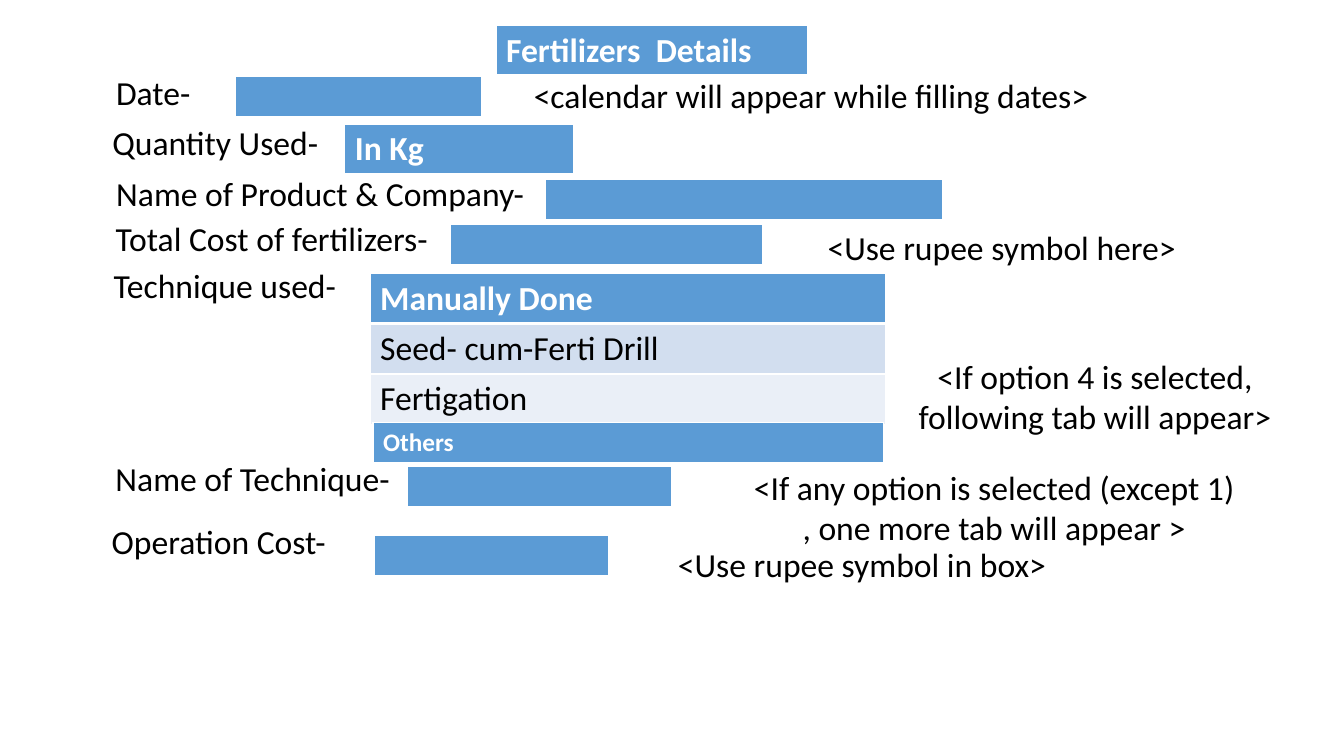
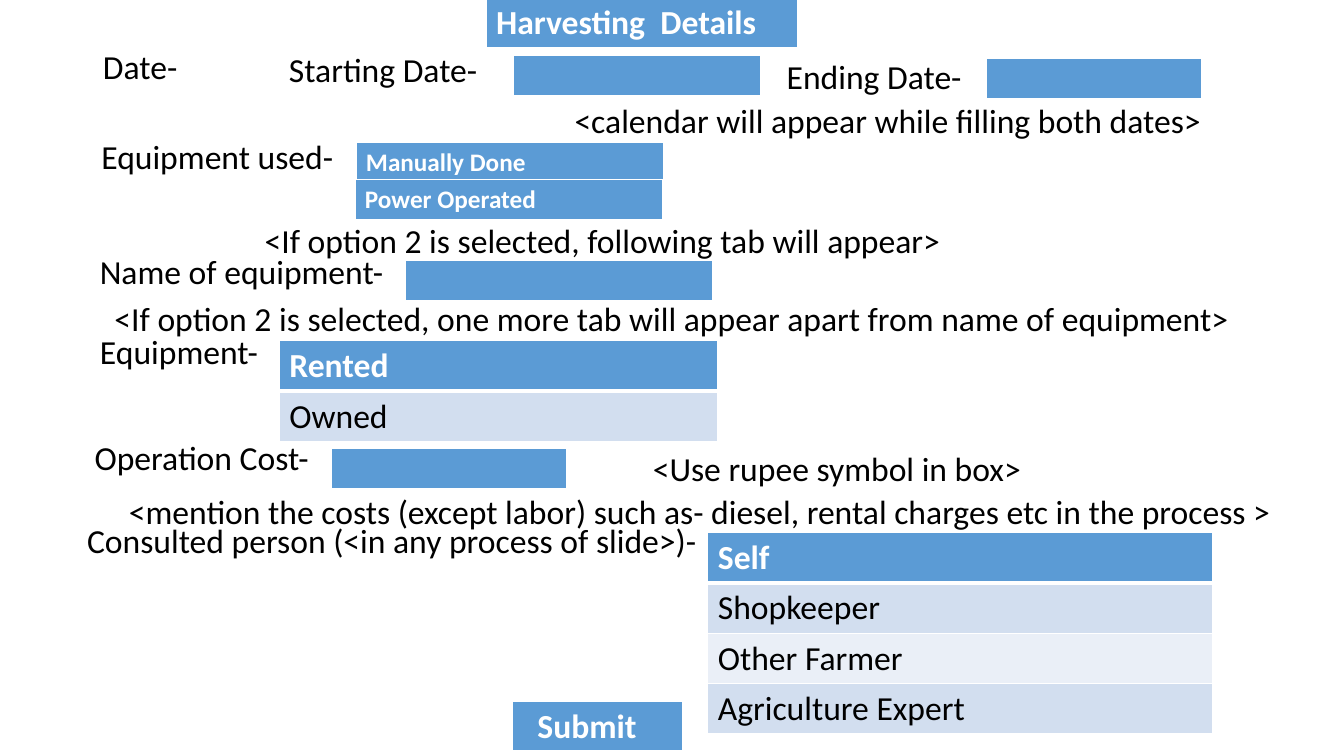
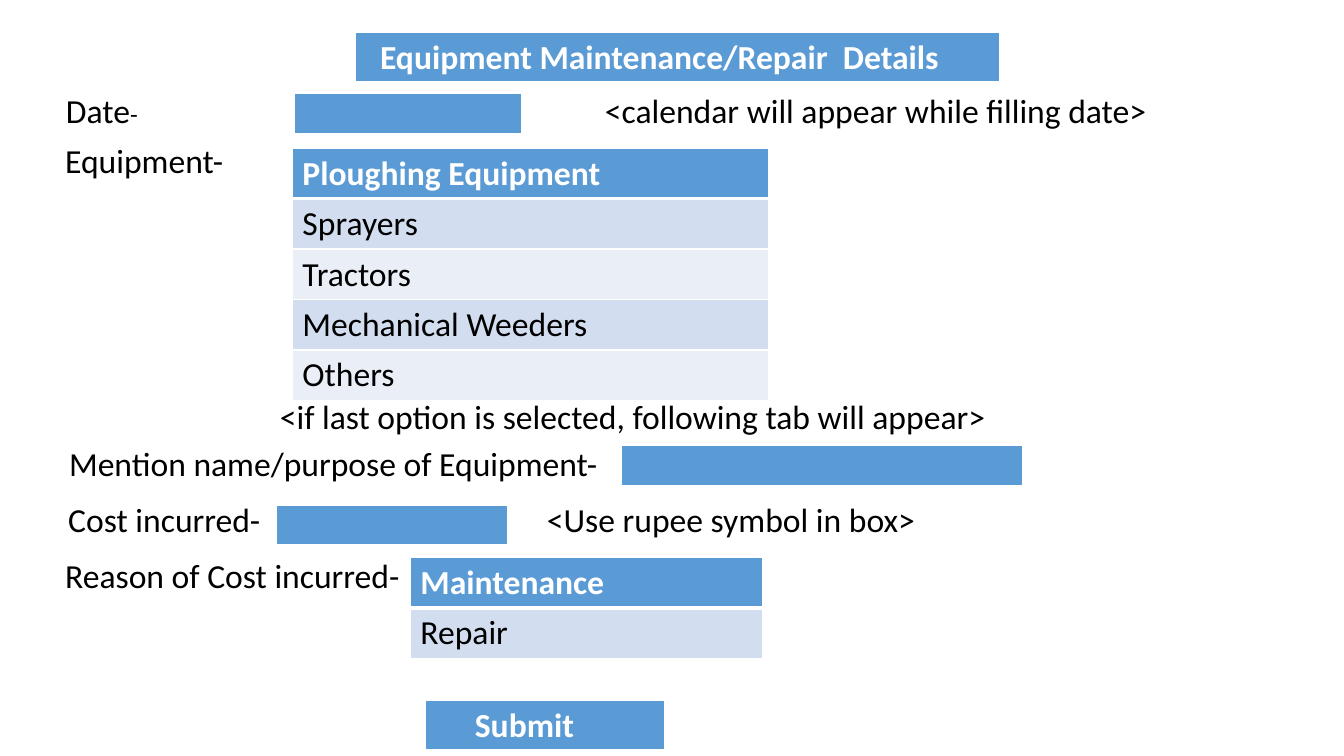
"""Build three farm-record form slides: fertilizers, harvesting and equipment upkeep."""
from dataclasses import dataclass

from lxml import etree
from pptx import Presentation
from pptx import util as u
from pptx.dml.color import RGBColor
from pptx.enum import text
from pptx.oxml import ns


@dataclass(frozen=True)
class Theme:
    font: str = "Calibri"
    normal: int = 24
    small: int = 18
    header: str = "5B9BD5"
    bands: tuple[str, str] = ("D2DEEF", "EAEFF7")
    light: str = "FFFFFF"
    dark: str = "000000"
    thin: int = 1
    thick: int = 3
    row: float = 0.5
    small_row: float = 0.41
    inset: float = 0.1
    wide_inset: float = 0.25


THEME = Theme()


@dataclass(frozen=True)
class Label:
    left: float
    top: float
    width: float
    lines: tuple[str, ...]
    small_tail: str = ""


@dataclass(frozen=True)
class Field:
    left: float
    top: float
    width: float
    options: tuple[str, ...] = ("",)
    size: int = THEME.normal
    inset: float = THEME.inset


@dataclass(frozen=True)
class Form:
    title: Field
    labels: tuple[Label, ...]
    fields: tuple[Field, ...]


FORMS = (
    Form(
        title=Field(4.92, 0.25, 3.09, ("Fertilizers  Details",)),
        labels=(
            Label(0.02, 0.66, 3, ("Date-",)),
            Label(4.28, 0.69, 7.53, ("<calendar will appear while filling dates>",)),
            Label(0.43, 1.16, 3.41, ("Quantity Used-",)),
            Label(0.79, 1.67, 4.77, ("Name of Product & Company-",)),
            Label(0.75, 2.11, 3.89, ("Total Cost of fertilizers-",)),
            Label(7.16, 2.2, 5.55, ("<Use rupee symbol here>",)),
            Label(0, 2.58, 4.46, ("Technique used-",)),
            Label(8.39, 3.48, 4.94,
                  ("<If option 4 is selected,", "following tab will appear>")),
            Label(0.43, 4.49, 4.15, ("Name of Technique-",)),
            Label(7.28, 4.58, 5.16,
                  ("<If any option is selected (except 1)", ", one more tab will appear >")),
            Label(0, 5.12, 4.34, ("Operation Cost-",)),
            Label(5.65, 5.35, 5.8, ("<Use rupee symbol in box>",)),
        ),
        fields=(
            Field(2.33, 0.76, 2.45),
            Field(3.42, 1.23, 2.27, ("In Kg",)),
            Field(5.41, 1.78, 3.94),
            Field(4.47, 2.23, 3.09),
            Field(3.67, 2.71, 5.11, ("Manually Done", "Seed- cum-Ferti Drill", "Fertigation")),
            Field(4.04, 4.63, 2.62),
            Field(3.71, 5.31, 2.33),
            Field(3.7, 4.19, 5.06, ("Others",), size=THEME.small),
        ),
    ),
    Form(
        title=Field(4.82, -0.02, 3.09, ("Harvesting  Details",)),
        labels=(
            Label(7.17, 0.51, 3, ("Ending Date-",)),
            Label(0.82, 4.82, 12.24,
                  ("<mention the costs (except labor) such as- diesel, "
                   "rental charges etc in the process >",)),
            Label(0, 0.41, 2.78, ("Date-",)),
            Label(2.3, 0.44, 3, ("Starting Date-",)),
            Label(5.04, 0.94, 7.53, ("<calendar will appear while filling both dates>",)),
            Label(0, 1.3, 4.31, ("Equipment used-",)),
            Label(1.93, 2.13, 8.09, ("<If option 2 is selected, following tab will appear>",)),
            Label(0.32, 2.44, 4.15, ("Name of equipment-",)),
            Label(0.02, 2.91, 13.28,
                  ("<If option 2 is selected, one more tab will appear "
                   "apart from name of equipment>",)),
            Label(0, 3.23, 3.55, ("Equipment-",)),
            Label(0, 4.29, 4, ("Operation Cost-",)),
            Label(5.84, 4.39, 4.92, ("<Use rupee symbol in box>",)),
            Label(0.43, 5.11, 6.91, ("Consulted person (<in any process of slide>)-",)),
        ),
        fields=(
            Field(5.09, 0.55, 2.45),
            Field(9.78, 0.58, 2.14),
            Field(4.02, 2.58, 3.05),
            Field(3.29, 4.45, 2.33),
            Field(3.53, 1.41, 3.05, ("Manually Done",), size=THEME.small),
            Field(3.52, 1.78, 3.05, ("Power Operated",), size=THEME.small),
            Field(2.77, 3.38, 4.35, ("Rented", "Owned")),
            Field(7.02, 5.28, 5.01, ("Self", "Shopkeeper", "Other Farmer", "Agriculture Expert")),
            Field(5.08, 6.96, 1.69, ("Submit",), inset=THEME.wide_inset),
        ),
    ),
    Form(
        title=Field(3.52, 0.32, 6.39, ("Equipment Maintenance/Repair  Details",),
                    inset=THEME.wide_inset),
        labels=(
            Label(0, 0.84, 2.02, ("Date",), small_tail="-"),
            Label(4.92, 0.84, 7.53, ("<calendar will appear while filling date>",)),
            Label(0, 1.34, 2.86, ("Equipment-",)),
            Label(0, 3.88, 12.55, ("<if last option is selected, following tab will appear>",)),
            Label(0.21, 4.34, 6.19, ("Mention name/purpose of Equipment-",)),
            Label(0.13, 4.9, 3, ("Cost incurred-",)),
            Label(4.79, 4.9, 4.92, ("<Use rupee symbol in box>",)),
            Label(0.33, 5.46, 3.95, ("Reason of Cost incurred-",)),
        ),
        fields=(
            Field(2.92, 0.93, 2.25),
            Field(2.9, 1.47, 4.72,
                  ("Ploughing Equipment", "Sprayers", "Tractors", "Mechanical Weeders", "Others")),
            Field(6.16, 4.42, 3.98),
            Field(2.74, 5.01, 2.29),
            Field(4.07, 5.53, 3.49, ("Maintenance", "Repair")),
            Field(4.22, 6.95, 2.37, ("Submit",), inset=0.49),
        ),
    ),
)


def write(para, words: str, *, size: int = THEME.normal, color: str = THEME.dark,
          bold: bool = False, align=text.PP_ALIGN.LEFT) -> None:
    """Append one formatted span to a paragraph."""
    para.alignment = align
    span = para.add_run()
    span.text = words
    span.font.name = THEME.font
    span.font.size = u.Pt(size)
    span.font.bold = bold
    span.font.color.rgb = RGBColor.from_string(color)


def paint(fill, color: str) -> None:
    """Give a fill one solid colour."""
    fill.solid()
    fill.fore_color.rgb = RGBColor.from_string(color)


def set_borders(cell, top: int, bottom: int) -> None:
    """Draw the light rules around a table cell."""
    properties = cell._tc.get_or_add_tcPr()
    widths = {"a:lnL": THEME.thin, "a:lnR": THEME.thin, "a:lnT": top, "a:lnB": bottom}
    for position, (tag, width) in enumerate(widths.items()):
        line = etree.Element(ns.qn(tag), w=str(u.Pt(width)))
        solid = etree.SubElement(line, ns.qn("a:solidFill"))
        etree.SubElement(solid, ns.qn("a:srgbClr"), val=THEME.light)
        properties.insert(position, line)


def draw_label(page, label: Label) -> None:
    """Place a centred label or note."""
    box = page.shapes.add_textbox(u.Inches(label.left), u.Inches(label.top),
                                  u.Inches(label.width), u.Inches(0.1 + 0.4 * len(label.lines)))
    frame = box.text_frame
    frame.word_wrap = True
    for index, line in enumerate(label.lines):
        para = frame.add_paragraph() if index else frame.paragraphs[0]
        write(para, line, align=text.PP_ALIGN.CENTER)
    if label.small_tail:
        write(para, label.small_tail, size=THEME.small, align=text.PP_ALIGN.CENTER)


def draw_field(page, field: Field) -> None:
    """Place a title band, entry field or option list as a one-column table."""
    large = field.options[0] and field.size == THEME.normal
    height = u.Inches(THEME.row if large else THEME.small_row)
    count = len(field.options)
    table = page.shapes.add_table(count, 1, u.Inches(field.left), u.Inches(field.top),
                                  u.Inches(field.width), height * count).table
    for index, option in enumerate(field.options):
        table.rows[index].height = height
        cell = table.cell(index, 0)
        cell.margin_left = u.Inches(field.inset)
        header = index == 0
        paint(cell.fill, THEME.header if header else THEME.bands[(index - 1) % 2])
        set_borders(cell, top=THEME.thick if index == 1 else THEME.thin,
                    bottom=THEME.thick if header else THEME.thin)
        if option:
            write(cell.text_frame.paragraphs[0], option, size=field.size, bold=header,
                  color=THEME.light if header else THEME.dark)


def main() -> None:
    """Build and save the deck."""
    deck = Presentation()
    deck.slide_width, deck.slide_height = u.Inches(13.33), u.Inches(7.5)
    blank = deck.slide_layouts[6]
    for form in FORMS:
        page = deck.slides.add_slide(blank)
        for label in form.labels:
            draw_label(page, label)
        for field in (form.title, *form.fields):
            draw_field(page, field)
    deck.save("out.pptx")


if __name__ == "__main__":
    main()
